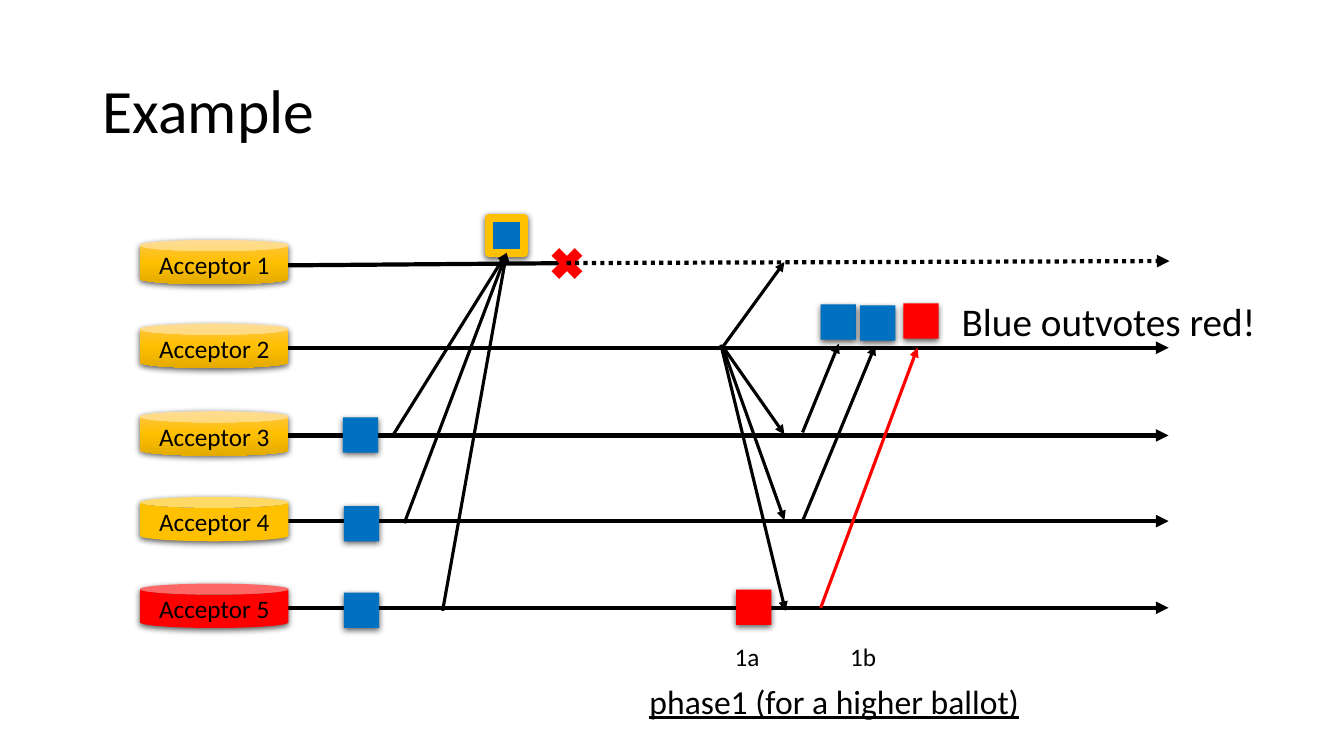
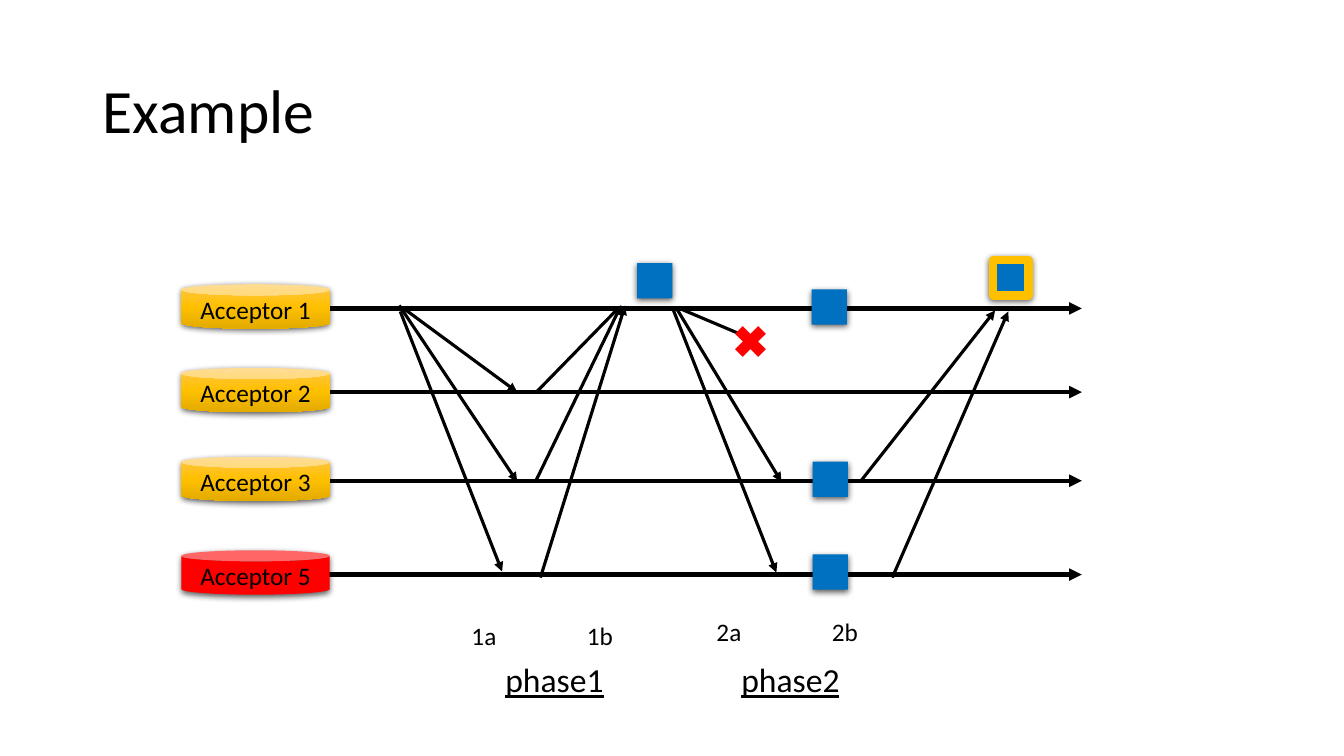
from dataclasses import dataclass

from pptx import Presentation
from pptx.dml.color import RGBColor
from pptx.enum.dml import MSO_LINE
from pptx.enum.shapes import MSO_CONNECTOR, MSO_SHAPE
from pptx.enum.text import MSO_ANCHOR, PP_ALIGN
from pptx.oxml import parse_xml
from pptx.oxml.ns import nsdecls
from pptx.util import Pt

PX = 9144  # 100 px to the inch


@dataclass(frozen=True)
class Theme:
    black: str = "000000"
    blue: str = "0070C0"
    red: str = "FF0000"
    gold: str = "FFC000"
    gold_gradient: tuple = ((0, "FFC64B"), (50, "FFC000"), (100, "E3AB00"))
    font: str = "Calibri"
    symbol_font: str = "Arial"
    title_size: int = 44
    cross_size: int = 32
    remark_size: int = 28
    phase_size: int = 24
    label_size: int = 18
    timeline_width: float = 3
    message_width: float = 2.25
    frame_width: float = 6


theme = Theme()
SHADOW = (f'<a:outerShdw {nsdecls("a")} blurRad="57150" dist="19050" dir="5400000" '
          'algn="ctr" rotWithShape="0"><a:srgbClr val="000000">'
          '<a:alpha val="63000"/></a:srgbClr></a:outerShdw>')
GRADIENT = (f'<a:gradFill {nsdecls("a")} rotWithShape="1"><a:gsLst>'
            + "".join(f'<a:gs pos="{position * 1000}"><a:srgbClr val="{color}"/></a:gs>'
                      for position, color in theme.gold_gradient)
            + '</a:gsLst><a:lin ang="5400000" scaled="0"/></a:gradFill>')

CAN_WIDTH, CAN_HEIGHT, CAN_RISE = 147, 44, 24
SQUARE = 35
LABEL_WIDTH, LABEL_GAP = 50, 115  # gap between the centres of a pair of step labels


def add_text(target, text, size, color=theme.black, font=theme.font,
             align=PP_ALIGN.CENTER, underline=None):
    """Write one line into a shape, or into a new text box at (slide, box)."""
    if isinstance(target, tuple):
        slide, box = target
        target = slide.shapes.add_textbox(*[value * PX for value in box])
    frame = target.text_frame
    frame.text = text
    frame.word_wrap = True
    frame.vertical_anchor = MSO_ANCHOR.MIDDLE
    paragraph = frame.paragraphs[0]
    paragraph.alignment = align
    run_font = paragraph.runs[0].font
    run_font.name, run_font.size, run_font.underline = font, Pt(size), underline
    run_font.color.rgb = RGBColor.from_string(color)
    return frame


def add_arrow(slide, start, end, width, color=theme.black, dash=None):
    """Draw an arrow to a point, or to the bottom of a square."""
    target = None if isinstance(end, tuple) else end
    x, y = (0, 0) if target else end
    arrow = slide.shapes.add_connector(
        MSO_CONNECTOR.STRAIGHT, start[0] * PX, start[1] * PX, x * PX, y * PX)
    if target:
        arrow.end_connect(target, 2)
    arrow.line.width = Pt(width)
    arrow.line.color.rgb = RGBColor.from_string(color)
    if dash:
        arrow.line.dash_style = dash
    arrow.line._get_or_add_ln().append(
        parse_xml(f'<a:tailEnd {nsdecls("a")} type="triangle"/>'))
    arrow._element.spPr.append(parse_xml(f'<a:effectLst {nsdecls("a")}/>'))


# Content: a message that ends at None goes to the decided square
scenes = [
    dict(
        can_left=139, timeline=(192, 1159),
        lanes=[(1, 262, "gradient"), (2, 345, "gradient"), (3, 432, "gradient"),
               (4, 517, theme.gold), (5, 603, theme.red)],
        crash=dict(start=(192, 264), stop=(574, 261), dots=((562, 261), (1160, 259))),
        decided=(485, 216),
        squares=[(340, 414, theme.blue), (341, 502, theme.blue), (341, 588, theme.blue),
                 (814, 302, theme.blue), (853, 303, theme.blue),
                 (896, 301, theme.red), (730, 585, theme.red)],
        messages=[((389, 433), None), ((401, 519), None), ((439, 606), None),
                  ((717, 344), (778, 260)), ((717, 344), (778, 431)),
                  ((717, 345), (778, 516)), ((715, 342), (779, 606)),
                  ((796, 429), (832, 341)), ((796, 517), (868, 343)),
                  ((814, 603), (910, 345), theme.red)],
        cross=(535, 228),
        steps=[(741, 631, "1a", "1b")],
        phases=[((624, 669, 407, 52), "phase1 (for a higher ballot)")],
        remark=((944, 290, 330, 57), "Blue outvotes red!"),
    ),
    dict(
        can_left=180, timeline=(234, 1073),
        lanes=[(1, 306, "gradient"), (2, 389, "gradient"), (3, 477, "gradient"),
               (5, 570, theme.red)],
        crash=None,
        decided=(985, 258),
        squares=[(632, 261, theme.blue), (805, 287, theme.blue),
                 (806, 458, theme.blue), (806, 550, theme.blue)],
        messages=[((399, 305), (513, 389)), ((396, 303), (513, 478)),
                  ((397, 309), (498, 567)), ((531, 390), (616, 303)),
                  ((531, 478), (616, 303)), ((536, 573), (620, 303)),
                  ((674, 306), (752, 339)), ((671, 306), (775, 478)),
                  ((668, 308), (770, 568)), ((854, 477), (987, 308)),
                  ((885, 573), (1000, 309))],
        cross=(717, 305),
        steps=[(480, 610, "1a", "1b"), (723, 606, "2a", "2b")],
        phases=[((363, 648, 374, 52), "phase1"), ((639, 648, 290, 52), "phase2")],
        remark=None,
    ),
]

presentation = Presentation()
presentation.slide_width, presentation.slide_height = 1333 * PX, 750 * PX

for scene in scenes:
    slide = presentation.slides.add_slide(presentation.slide_layouts[6])
    crash = scene["crash"]

    # Title
    title = add_text((slide, (92, 40, 1150, 145)), "Example", theme.title_size,
                     align=PP_ALIGN.LEFT)
    title.paragraphs[0].line_spacing = 0.9

    # Timelines
    left, right = scene["timeline"]
    for number, y, _ in scene["lanes"]:
        start, end = (left, y), (right, y)
        if crash and number == 1:
            start, end = crash["start"], crash["stop"]
        add_arrow(slide, start, end, theme.timeline_width)

    # Acceptors and ballots share one style
    solids = [(MSO_SHAPE.CAN, scene["can_left"], y - CAN_RISE, CAN_WIDTH, CAN_HEIGHT,
               fill, f"Acceptor {number}") for number, y, fill in scene["lanes"]]
    solids += [(MSO_SHAPE.RECTANGLE, x, y, SQUARE, SQUARE, fill, None)
               for x, y, fill in scene["squares"] + [(*scene["decided"], theme.blue)]]
    for kind, x, y, width, height, fill, label in solids:
        shape = slide.shapes.add_shape(kind, x * PX, y * PX, width * PX, height * PX)
        if fill == "gradient":
            shape._element.spPr.append(parse_xml(GRADIENT))
        else:
            shape.fill.solid()
            shape.fill.fore_color.rgb = RGBColor.from_string(fill)
        shape.line.fill.background()
        shape.shadow.inherit = False
        shape._element.spPr.effectLst.append(parse_xml(SHADOW))
        if label:
            add_text(shape, label, theme.label_size)

    # The decided square comes last and gets a gold frame
    decided = shape
    decided.line.color.rgb = RGBColor.from_string(theme.gold)
    decided.line.width = Pt(theme.frame_width)

    # Messages
    for start, end, *color in scene["messages"]:
        add_arrow(slide, start, end or decided, theme.message_width, *color)

    # Failure
    cross = add_text((slide, (*scene["cross"], 54, 64)), "✖", theme.cross_size,
                     theme.red, theme.symbol_font)
    cross.word_wrap = False
    if crash:
        add_arrow(slide, *crash["dots"], theme.timeline_width, dash=MSO_LINE.ROUND_DOT)

    # Steps, phases and remark
    for center, top, *names in scene["steps"]:
        for index, name in enumerate(names):
            x = center + index * LABEL_GAP - LABEL_WIDTH // 2
            add_text((slide, (x, top, LABEL_WIDTH, 40)), name, theme.label_size)
    for box, name in scene["phases"]:
        add_text((slide, box), name, theme.phase_size, underline=True)
    if scene["remark"]:
        box, remark = scene["remark"]
        add_text((slide, box), remark, theme.remark_size, align=PP_ALIGN.LEFT)

presentation.save("out.pptx")
